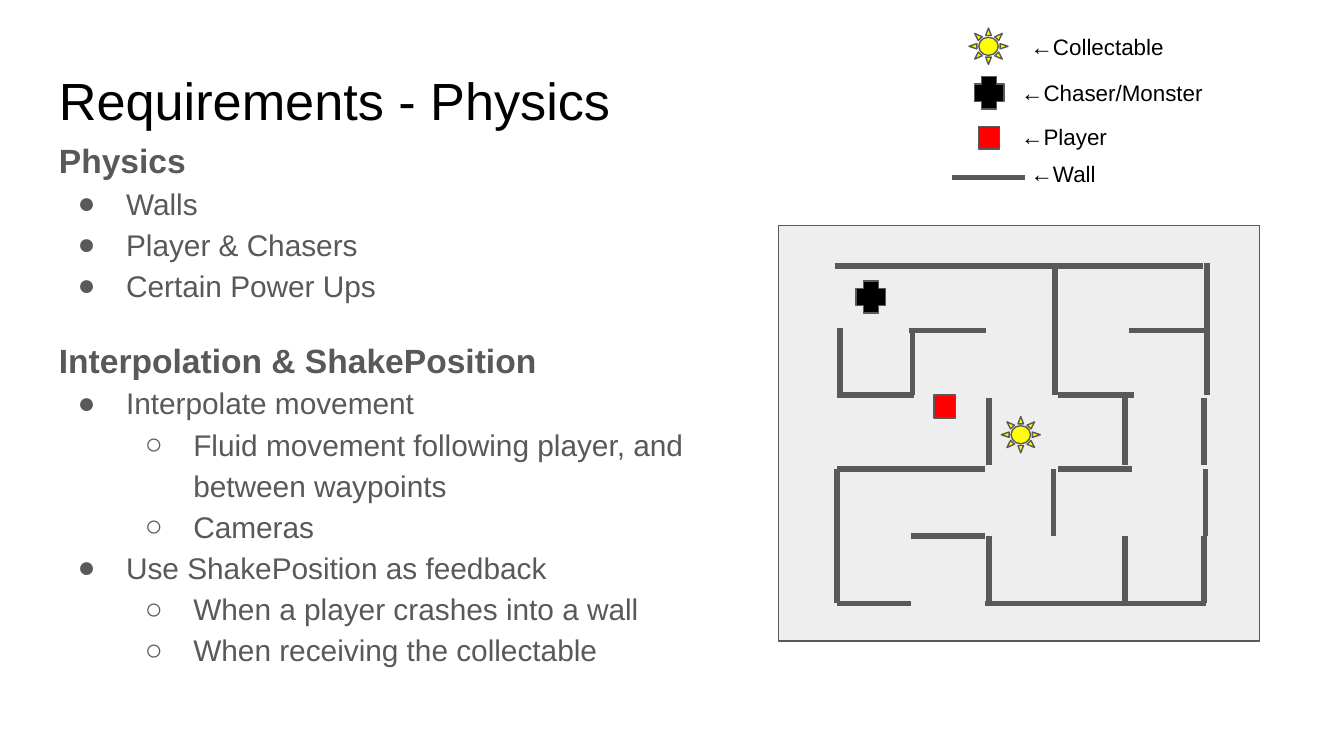
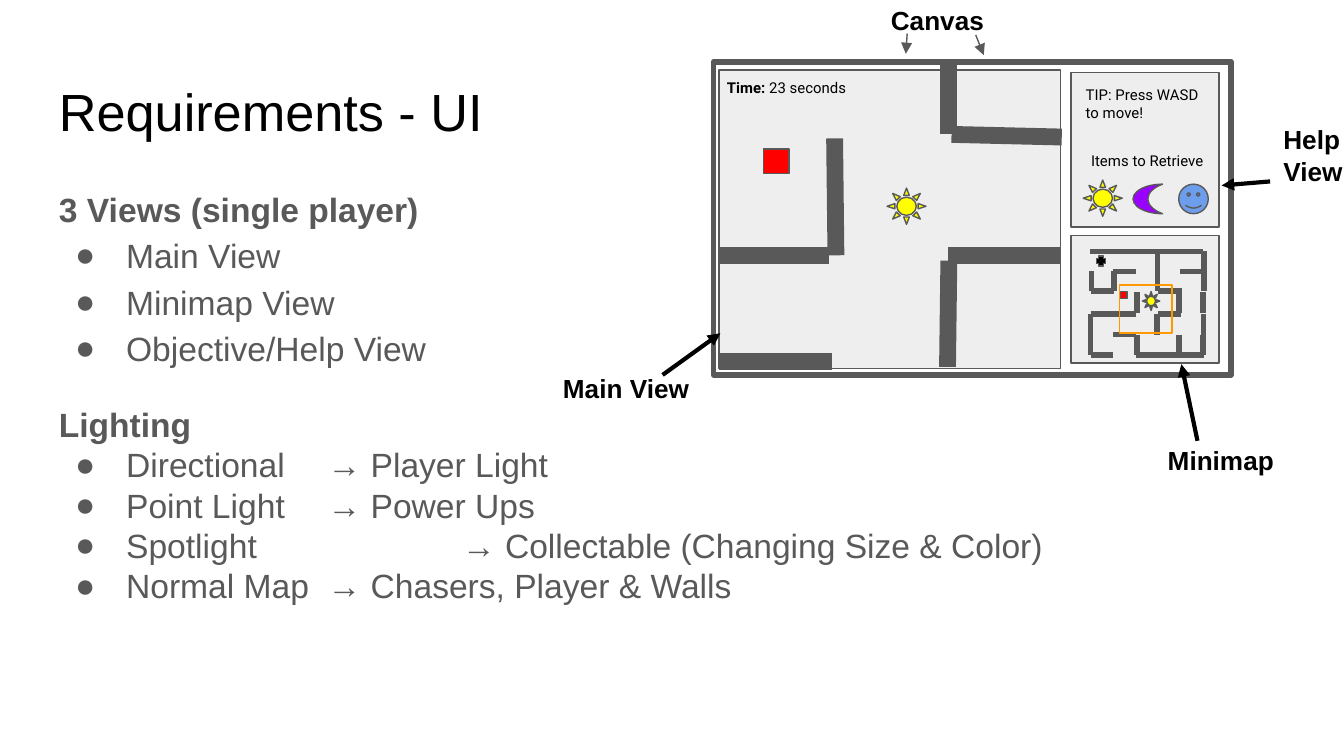
import lxml.etree
import pptx
import pptx.dml.color
import pptx.enum.shapes
import pptx.oxml.ns
import pptx.util

KIND = pptx.enum.shapes.MSO_SHAPE
LINK = pptx.enum.shapes.MSO_CONNECTOR
GREY, BLACK, PALE, WHITE = "595959", "000000", "EEEEEE", "FFFFFF"
RED, GOLD = "FF0000", "FFFF00"

# Maze walls, measured from the corner of the maze: (y, x of each wall)
STEP_X, STEP_Y = 0.55, 0.5
UPRIGHT = [(2.81, (0.44, 1.57, 3.17, 2.58)), (1.78, (1.57, 3.17, 2.58)),
           (1.26, (0.46, 1, 2.06, 3.19)), (2.31, (0.44, 2.05, 3.18)),
           (0.78, (2.06, 3.19))]
LEVEL = [(1.81, (0.44, 0.99, 2.08)), (2.31, (0.99,)),
         (2.81, (0.44, 1.54, 2.08, 2.63)), (1.26, (0.46, 2.1, 0.44, 2.08)),
         (0.78, (0.97, 2.61, 1, 2.65)), (0.3, (0.42, 0.97, 1.52, 2.07, 2.61))]


def inch(size):
    return pptx.util.Cm(size * 2.54)


def tint(code):
    return pptx.dml.color.RGBColor.from_string(code)


def apply(thing, values):
    for name, value in values.items():
        setattr(thing, name, value)


def paint(fill, code):
    fill.solid()
    fill.fore_color.rgb = tint(code)


def add(parent, tag, **values):
    return lxml.etree.SubElement(parent, pptx.oxml.ns.qn(tag), values)


class Deck:
    """Holds the style and the current slide."""
    font = "Arial"
    pad = inch(0.1)
    thin, wall, bold = 0.75, 3, 2.25

    def __init__(self):
        self.file = pptx.Presentation()
        apply(self.file, {"slide_width": inch(10), "slide_height": inch(10 * 9 / 16)})

    def start(self):
        self.slide = self.file.slides.add_slide(self.file.slide_layouts[6])
        paint(self.slide.background.fill, WHITE)

    def frame(self, box):
        shape = self.slide.shapes.add_textbox(*map(inch, box))
        frame = shape.text_frame
        sides = ("margin_left", "margin_top", "margin_right", "margin_bottom")
        apply(frame, {"word_wrap": True, **dict.fromkeys(sides, self.pad)})
        return frame

    def run(self, para, text, size, color=BLACK, bold=False, font=None):
        run = para.add_run()
        run.text = text
        apply(run.font, {"name": font or self.font, "bold": bold,
                         "size": pptx.util.Pt(size)})
        run.font.color.rgb = tint(color)

    def text(self, box, text, size, bold=False, font=None, lead=""):
        para = self.frame(box).paragraphs[0]
        if lead:
            self.run(para, lead, size, bold=True, font=font)
        self.run(para, text, size, bold=bold, font=font)

    def title(self, box, text):
        self.text(box, text, 28)

    def body(self, box, lines, size, hang):
        """Each line is (level, text, line spacing); level 0 is a heading."""
        frame = self.frame(box)
        for spot, (level, text, space) in enumerate(lines):
            para = frame.add_paragraph() if spot else frame.paragraphs[0]
            if level:
                self.bullet(para, level, hang)
            elif spot:
                para.space_before = pptx.util.Pt(16)
            para.line_spacing = space
            self.run(para, text, size if level else 18, GREY, not level)

    def bullet(self, para, level, hang):
        para.level = level - 1
        props = para._p.get_or_add_pPr()
        for name, value in {"marL": inch(level / 2), "indent": -inch(hang),
                            "defTabSz": inch(1)}.items():
            props.set(name, str(int(value)))
        add(add(props, "a:buClr"), "a:srgbClr", val=GREY)
        add(props, "a:buFont", typeface=self.font)
        add(props, "a:buChar", char="●○"[level - 1])

    def shape(self, kind, box, fill=None, line=GREY, width=thin):
        shape = self.slide.shapes.add_shape(kind, *map(inch, box))
        shape.shadow.inherit = False
        if fill:
            paint(shape.fill, fill)
        else:
            shape.fill.background()
        shape.line.color.rgb = tint(line)
        shape.line.width = pptx.util.Pt(width)

    def line(self, ends, width=wall, color=GREY, arrow=False):
        link = self.slide.shapes.add_connector(LINK.STRAIGHT, *map(inch, ends))
        link.line.color.rgb = tint(color)
        link.line.width = pptx.util.Pt(width)
        if arrow:
            add(link.line._get_or_add_ln(), "a:tailEnd", type="triangle")
        add(link._element.spPr, "a:effectLst")

    def sun(self, x, y, wide=0.29, high=0.27):
        self.shape(KIND.SUN, (x, y, wide, high), GOLD)

    def maze(self, left, top, scale=1):
        """Walls, chaser and player."""
        def place(x, y):
            return left + x * scale, top + y * scale

        for y, row in UPRIGHT:
            for x in row:
                self.line(place(x, y) + place(x, y - STEP_Y))
        for y, row in LEVEL:
            for x in row:
                self.line(place(x, y) + place(x + STEP_X, y))
        self.shape(KIND.CROSS, place(0.58, 0.41) + (0.22 * scale, 0.24 * scale), BLACK)
        self.shape(KIND.RECTANGLE, place(1.16, 1.26) + (0.16 * scale, 0.17 * scale), RED)


def physics(deck):
    deck.start()
    deck.title((0.34, 0.41, 6.7, 0.63), "Requirements - Physics")
    deck.body((0.34, 0.94, 5.17, 3.74), [
        (0, "Physics", 1.0),
        (1, "Walls", 1.15),
        (1, "Player & Chasers", 1.15),
        (1, "Certain Power Ups", 1.15),
        (0, "Interpolation & ShakePosition", 1.15),
        (1, "Interpolate movement", 1.15),
        (2, "Fluid movement following player, and between waypoints", 1.15),
        (2, "Cameras", 1.15),
        (1, "Use ShakePosition as feedback", 1.15),
        (2, "When a player crashes into a wall", 1.15),
        (2, "When receiving the collectable", 1.15),
    ], 16, 0.36)

    # Maze
    deck.shape(KIND.RECTANGLE, (5.79, 1.68, 3.58, 3.09), PALE)
    deck.maze(5.79, 1.68)
    deck.sun(7.45, 3.1)

    # Legend
    deck.sun(7.21, 0.21)
    deck.shape(KIND.CROSS, (7.25, 0.57, 0.22, 0.24), BLACK)
    deck.shape(KIND.RECTANGLE, (7.28, 0.94, 0.16, 0.17), RED)
    deck.line((7.08, 1.32, 7.63, 1.32))
    for x, y, name in [(7.57, 0.15, "Collectable"), (7.5, 0.49, "Chaser/Monster"),
                       (7.5, 0.82, "Player"), (7.57, 1.09, "Wall")]:
        deck.text((x, y, 1.6, 0.3), "←" + name, 12)


def views(deck):
    deck.start()
    deck.title((0.34, 0.49, 9.32, 0.63), "Requirements - UI")
    deck.body((0.34, 1.26, 7.89, 3.74), [
        (0, "3 Views (single player)", 1.15),
        (1, "Main View", 1.15),
        (1, "Minimap View", 1.15),
        (1, "Objective/Help View", 1.15),
        (0, "Lighting", 1.15),
        (1, "Directional\t→ Player Light", 1.0),
        (1, "Point Light\t→ Power Ups", 1.0),
        (1, "Spotlight\t\t→ Collectable (Changing Size & Color)", 1.0),
        (1, "Normal Map\t→ Chasers, Player & Walls", 1.0),
    ], 18, 0.38)

    # Canvas
    deck.shape(KIND.RECTANGLE, (5.31, 0.46, 3.85, 2.33), WHITE, width=deck.wall)
    for ends in [(6.75, 0.25, 6.74, 0.4), (7.26, 0.26, 7.32, 0.41)]:
        deck.line(ends, deck.thin, arrow=True)

    # Minimap
    deck.shape(KIND.RECTANGLE, (7.97, 1.75, 1.1, 0.95), PALE)
    deck.maze(7.98, 1.78, 0.307)
    deck.shape(KIND.RECTANGLE, (8.33, 2.12, 0.39, 0.36), line="FF9900")
    deck.sun(8.5, 2.17, 0.13, 0.14)

    # Help view
    deck.shape(KIND.RECTANGLE, (7.97, 0.54, 1.1, 1.15), PALE)
    deck.text((7.98, 0.54, 1.1, 0.24), "TIP: Press WASD to move!", 8, font="Roboto")
    deck.text((8.02, 1.06, 1.1, 0.24), "Items to Retrieve", 8, font="Roboto")
    deck.sun(8.06, 1.34)
    deck.shape(KIND.MOON, (8.43, 1.37, 0.22, 0.22), "9900FF")
    deck.shape(KIND.SMILEY_FACE, (8.77, 1.37, 0.22, 0.22), "6D9EEB")

    # Main view
    deck.shape(KIND.RECTANGLE, (5.35, 0.52, 2.54, 2.22), PALE)
    for ends in [(6.22, 1.9, 6.21, 1.03), (7.06, 1, 7.06, 0.47),
                 (5.35, 1.9, 6.17, 1.9), (7.05, 1.9, 7.89, 1.9),
                 (7.08, 1, 7.9, 1.02), (7.05, 2.73, 7.06, 1.94),
                 (5.35, 2.69, 6.19, 2.69)]:
        deck.line(ends, 9)
    deck.shape(KIND.RECTANGLE, (5.68, 1.11, 0.19, 0.18), RED)
    deck.sun(6.6, 1.4)
    deck.text((5.31, 0.52, 1.1, 0.27), " 23 seconds", 8, font="Roboto", lead="Time:")

    # Labels and their arrows
    for box, name in [((6.53, -0.07, 1.03, 0.27), "Canvas"),
                      ((8.59, 3.21, 1.22, 0.41), "Minimap"),
                      ((9.45, 0.82, 0.71, 0.63), "Help View"),
                      ((4.09, 2.67, 1.22, 0.41), "Main View")]:
        deck.text(box, name, 14, bold=True)
    for ends in [(8.91, 3.28, 8.79, 2.71), (9.45, 1.35, 9.09, 1.38),
                 (4.93, 2.79, 5.36, 2.48)]:
        deck.line(ends, deck.bold, BLACK, arrow=True)


def main():
    deck = Deck()
    physics(deck)
    views(deck)
    deck.file.save("out.pptx")


if __name__ == "__main__":
    main()
